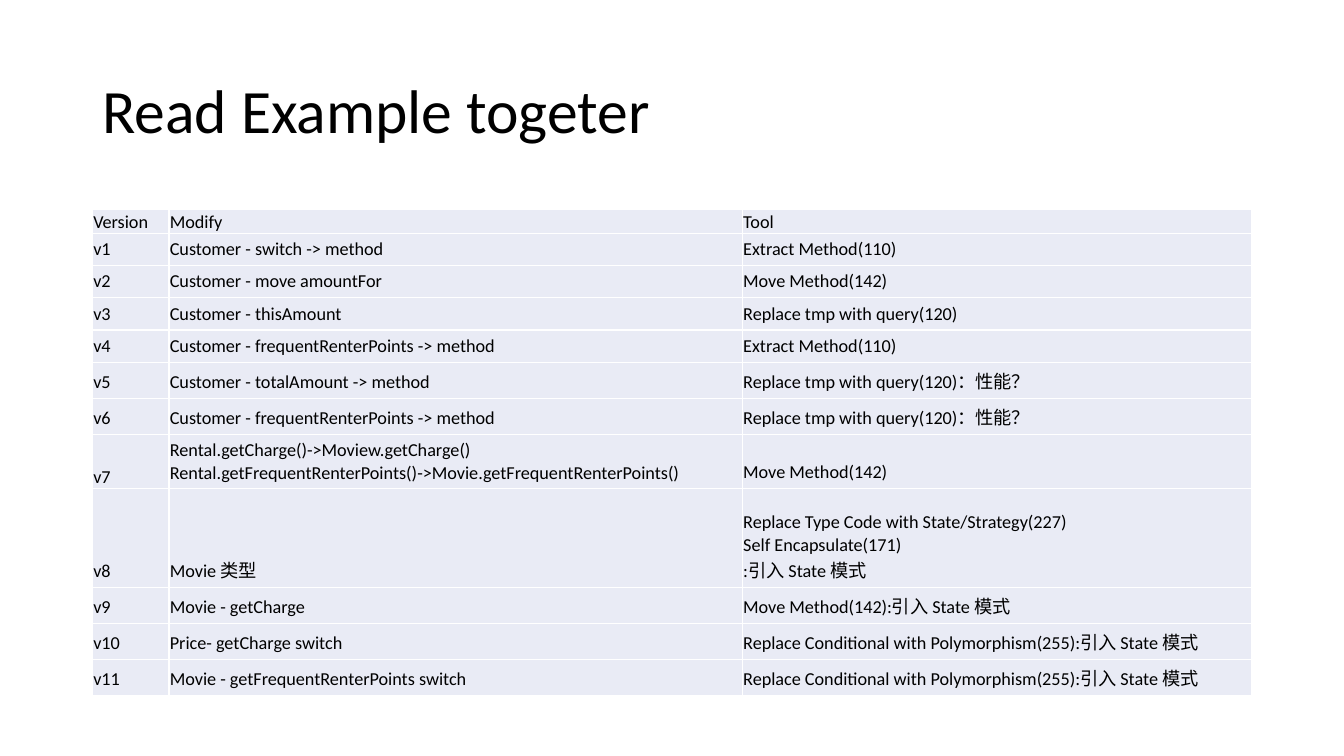
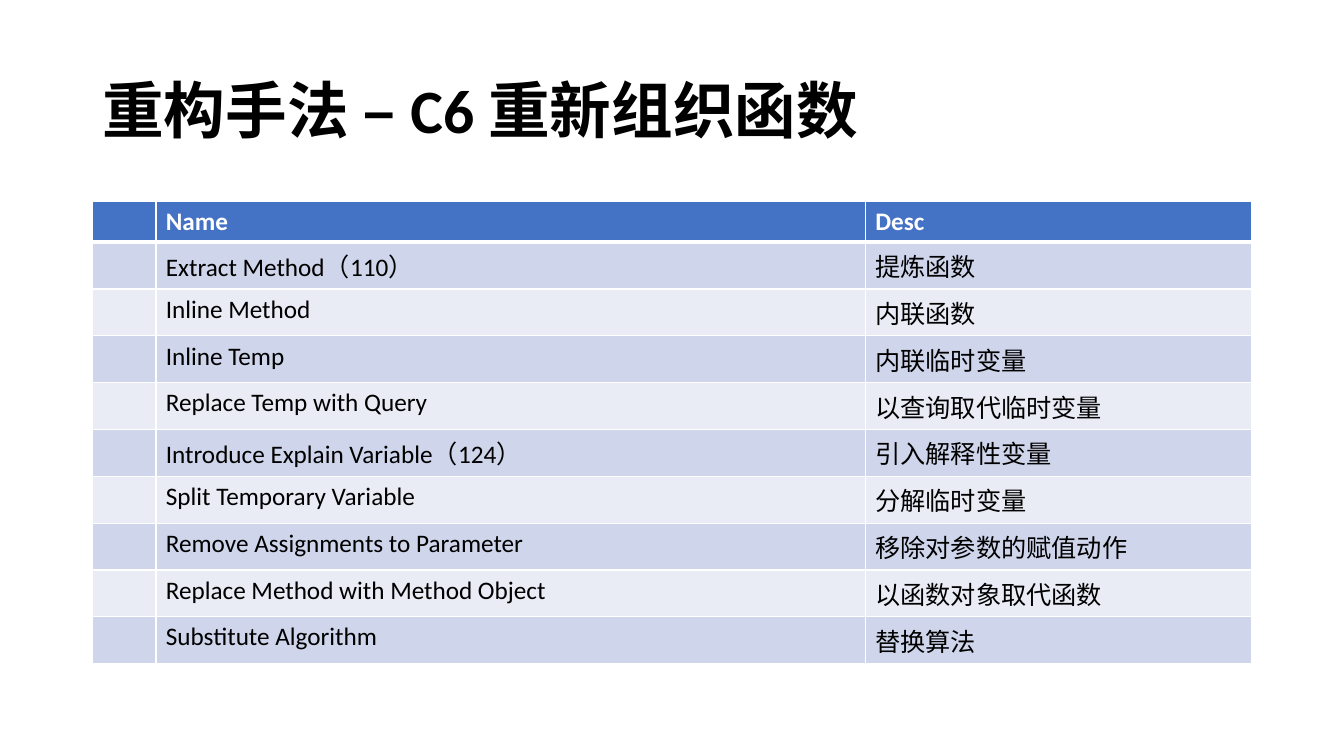
from dataclasses import dataclass
from lxml.etree import SubElement
from pptx import Presentation as Deck
from pptx.dml.color import RGBColor as Rgb
from pptx.enum.text import MSO_ANCHOR as Anchor
from pptx.oxml.ns import qn
from pptx.slide import Slide
from pptx.table import _Cell as Cell
from pptx.text.text import _Paragraph as Para
from pptx.util import Cm, Pt

FONT = "Calibri"
BLACK, WHITE = "000000", "FFFFFF"
BLUE, BAND, PALE = "4472C4", "CFD5EA", "E9EBF5"
LEFT, WIDTH = 2.33, 29.21
ROOMY = (0.25, 0.13, 0.25, 0.13)
MID = (0.02, 0.13, 0.02, 0.13)
TIGHT = (0.02, 0.02, 0.02, 0)


@dataclass
class Look:
    fill: str
    size: float
    ink: str = BLACK
    bold: bool = False
    pad: tuple[float, ...] = ROOMY
    anchor: Anchor = Anchor.TOP
    rule: float = 1


@dataclass
class Grid:
    top: float
    cols: list[float]
    highs: list[float]
    rows: list[tuple[str, ...]]
    looks: list[list[Look]]
    head: bool


def tint(code: str) -> Rgb:
    return Rgb.from_string(code)


def style(para: Para, size: float, ink: str, bold: bool) -> None:
    for run in para.runs:
        run.font.name = FONT
        run.font.size = Pt(size)
        run.font.bold = bold
        run.font.color.rgb = tint(ink)
    for gap in para._p.findall(qn("a:br")):
        SubElement(gap, qn("a:rPr"), sz=str(size * 100))


def add_title(slide: Slide, text: str, bold: bool) -> None:
    box = slide.shapes.add_textbox(Cm(LEFT), Cm(1.01), Cm(WIDTH), Cm(3.68))
    frame = box.text_frame
    frame.word_wrap = True
    frame.vertical_anchor = Anchor.MIDDLE
    para = frame.paragraphs[0]
    para.text = text
    para.line_spacing = 0.9
    style(para, 44, BLACK, bold)


def add_rules(cell: Cell, base: float) -> None:
    props = cell._tc.get_or_add_tcPr()
    for side, wide in (("L", 1), ("R", 1), ("T", 1), ("B", base)):
        line = SubElement(props, qn(f"a:ln{side}"), w=str(Pt(wide)))
        fill = SubElement(line, qn("a:solidFill"))
        SubElement(fill, qn("a:srgbClr"), val=WHITE)


def fill_cell(cell: Cell, text: str, look: Look) -> None:
    add_rules(cell, look.rule)
    cell.fill.solid()
    cell.fill.fore_color.rgb = tint(look.fill)
    left, top, right, base = map(Cm, look.pad)
    cell.margin_left, cell.margin_right = left, right
    cell.margin_top, cell.margin_bottom = top, base
    cell.vertical_anchor = look.anchor
    if text:
        para = cell.text_frame.paragraphs[0]
        para.text = text
        style(para, look.size, look.ink, look.bold)


def add_grid(slide: Slide, grid: Grid) -> None:
    table = slide.shapes.add_table(
        len(grid.rows), len(grid.cols), Cm(LEFT), Cm(grid.top),
        Cm(WIDTH), Cm(sum(grid.highs))).table
    table.first_row = grid.head
    table.horz_banding = grid.head
    for col, wide in zip(table.columns, grid.cols):
        col.width = Cm(wide)
    for row, high, texts, looks in zip(
            table.rows, grid.highs, grid.rows, grid.looks):
        row.height = Cm(high)
        for cell, text, look in zip(row.cells, texts, looks):
            fill_cell(cell, text, look)


def steps() -> Grid:
    state = ":引入 State 模式"
    query = "Replace tmp with query(120)"
    poly = "Replace Conditional with Polymorphism(255)" + state
    points = "Customer - frequentRenterPoints -> method"
    pairs = [
        ("Customer - switch -> method", "Extract Method(110)"),
        ("Customer - move amountFor", "Move Method(142)"),
        ("Customer - thisAmount", query),
        (points, "Extract Method(110)"),
        ("Customer - totalAmount -> method", query + "：性能？"),
        (points, query + "：性能？"),
        ("Rental.getCharge()->Moview.getCharge()\n"
         "Rental.getFrequentRenterPoints()->Movie.getFrequentRenterPoints()",
         "Move Method(142)"),
        ("Movie 类型",
         "Replace Type Code with State/Strategy(227)\n"
         "Self Encapsulate(171)\n" + state),
        ("Movie - getCharge", "Move Method(142)" + state),
        ("Price- getCharge switch", poly),
        ("Movie - getFrequentRenterPoints switch", poly),
    ]
    rows = [("Version", "Modify", "Tool")]
    rows += [(f"v{n}", *pair) for n, pair in enumerate(pairs, 1)]
    mid = Look(PALE, 13, pad=MID, anchor=Anchor.BOTTOM)
    tight = Look(PALE, 13, pad=TIGHT, anchor=Anchor.BOTTOM)
    looks = [[mid] * 3 for _ in rows]
    looks[0] = [tight] * 3
    looks[7] = [tight, mid, mid]
    highs = [0.6] + [0.81] * 4 + [0.91] * 2 + [1.36, 2.49] + [0.91] * 3
    return Grid(5.28, [1.93, 14.45, 12.83], highs, rows, looks, False)


def methods() -> Grid:
    rows = [
        ("", "Name", "Desc"),
        ("", "Extract Method（110）", "提炼函数"),
        ("", "Inline Method", "内联函数"),
        ("", "Inline Temp", "内联临时变量"),
        ("", "Replace Temp with Query", "以查询取代临时变量"),
        ("", "Introduce Explain Variable（124）", "引入解释性变量"),
        ("", "Split Temporary Variable", "分解临时变量"),
        ("", "Remove Assignments to Parameter", "移除对参数的赋值动作"),
        ("", "Replace Method with Method Object", "以函数对象取代函数"),
        ("", "Substitute Algorithm", "替换算法"),
    ]
    bands = [Look(PALE, 18), Look(BAND, 18)]
    looks = [[bands[n % 2]] * 3 for n in range(len(rows))]
    looks[0] = [Look(BLUE, 18, WHITE, True, rule=3)] * 3
    highs = [1.02] + [1.18] * (len(rows) - 1)
    return Grid(5.08, [1.6, 17.88, 9.73], highs, rows, looks, True)


def main() -> None:
    deck = Deck()
    deck.slide_width, deck.slide_height = Cm(33.87), Cm(19.05)
    for text, bold, grid in (
            ("Read Example togeter", False, steps()),
            ("重构手法 – C6 重新组织函数", True, methods())):
        slide = deck.slides.add_slide(deck.slide_layouts[6])
        add_title(slide, text, bold)
        add_grid(slide, grid)
    deck.save("out.pptx")


if __name__ == "__main__":
    main()
